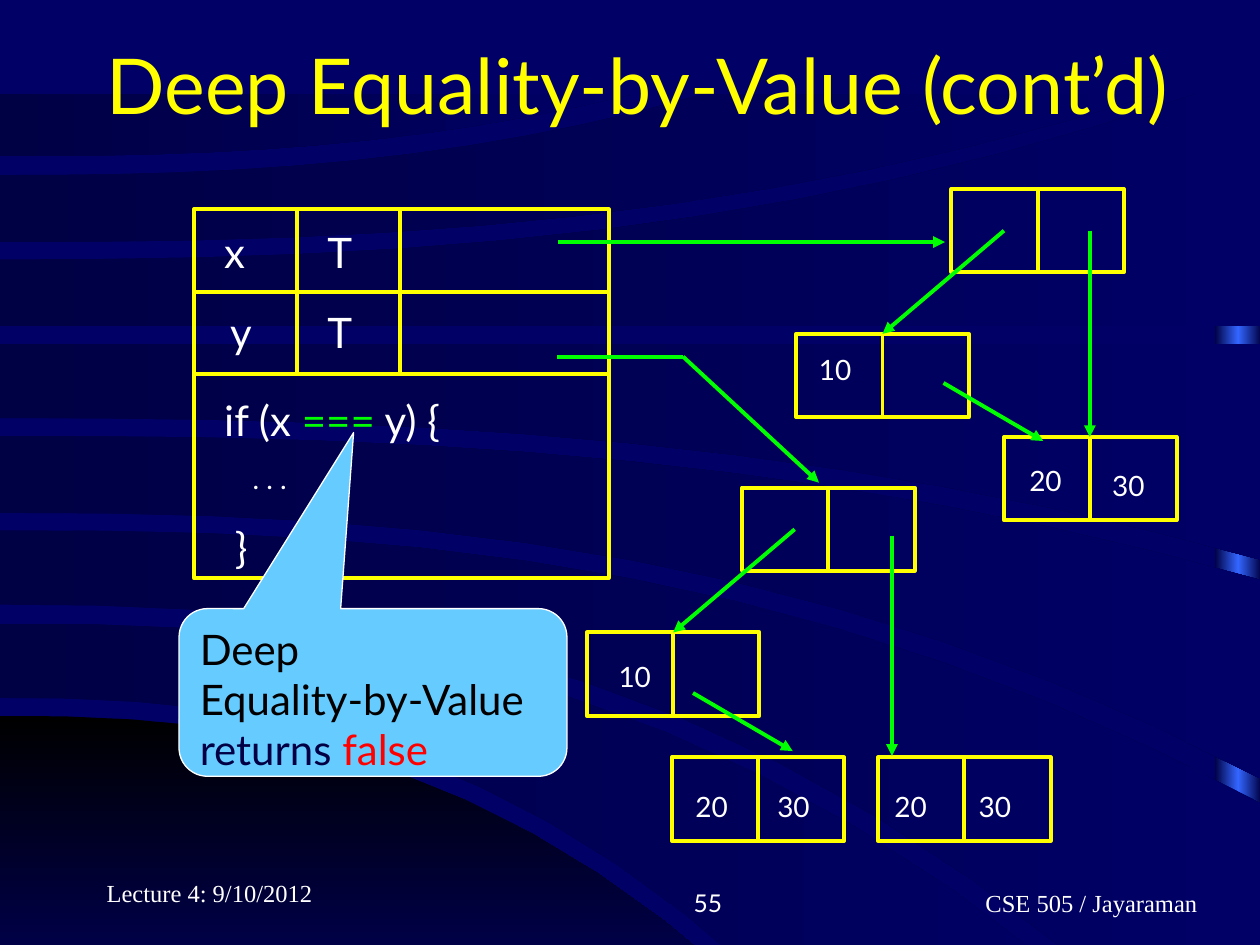
import copy

import pptx
import pptx.dml.color
import pptx.enum.shapes
import pptx.enum.text
import pptx.oxml
import pptx.oxml.ns
import pptx.util
from pptx.util import Cm

YELLOW, GREEN, WHITE = "FFFF00", "00FF00", "FFFFFF"
NAVY, DARK_NAVY = "000066", "000044"
WIDTH, HEIGHT = 25.4, 19.05
WAVE_TOP, WAVE_BOTTOM, WAVE_POWER, WAVE_STEPS = 1.9, 20.96, 2.5, 12
NODE_WIDTH, NODE_HEIGHT = 3.48, 1.68
SHAPE = pptx.enum.shapes.MSO_SHAPE
ALIGN = pptx.enum.text.PP_ALIGN
ANCHOR = pptx.enum.text.MSO_ANCHOR

# Upper and lower edge of each wave: height at the left side, rise across the slide
WAVES = [((12.57, 10.8), (14.07, 20)), ((10.69, 5.5), (12.19, 10.6)),
         ((8.79, 2.9), (10.34, 5.35)), ((6.93, 0), (8.43, 2.85)),
         ((5.23, -3.8), (6.58, 0)), ((3.53, -7), (4.88, -3.7)),
         ((WAVE_TOP, -7), (3.15, -7))]
TREE_ROOTS = [(19.18, 3.81), (14.96, 9.83)]
LEAVES = [(20.24, 8.81), (17.7, 15.27), (13.54, 15.27)]
NODE_VALUES = [("10", 16.26, 6.99), ("20", 20.5, 9.22), ("30", 22.17, 9.32),
               ("10", 12.22, 13.18), ("20", 13.77, 15.8), ("30", 15.42, 15.8),
               ("20", 17.78, 15.8), ("30", 19.48, 15.8)]
POINTERS = [(11.25, 4.88, 19.05, 4.88), (21.97, 4.65, 21.97, 8.81),
            (19.02, 7.72, 21.03, 8.89), (13.77, 7.19, 16.51, 9.73),
            (17.98, 10.8, 17.98, 15.24), (13.97, 13.97, 15.98, 15.14)]


def rgb(value):
    return pptx.dml.color.RGBColor.from_string(value)


def fill_gradient(shape, colors, angle=0):
    """Spread the colours evenly; the angle runs counter-clockwise."""
    shape.shadow.inherit = False
    shape.line.fill.background()
    shape.fill.gradient()
    shape.fill.gradient_angle = angle
    stop_list = shape._element.spPr.find(".//" + pptx.oxml.ns.qn("a:gsLst"))
    while len(stop_list) < len(colors):
        stop_list.append(copy.deepcopy(stop_list[-1]))
    for index, (stop, color) in enumerate(zip(shape.fill.gradient_stops, colors)):
        stop.color.rgb = rgb(color)
        stop.position = index / (len(colors) - 1)


def wave_edge(start, rise):
    """Points of a curve from the left side to the slide's right side or the wave limit."""
    end = 1
    if rise:
        limit = WAVE_BOTTOM if rise > 0 else WAVE_TOP
        end = min(1, ((limit - start) / rise) ** (1 / WAVE_POWER))
    shares = [end * step / WAVE_STEPS for step in range(WAVE_STEPS + 1)]
    return [(WIDTH * share, start + rise * share ** WAVE_POWER) for share in shares]


def add_wave(slide, upper, lower, colors, angle=0):
    upper_edge, lower_edge = wave_edge(*upper), wave_edge(*lower)
    shorter, longer = sorted([upper_edge[-1], lower_edge[-1]])
    corner = [(WIDTH, shorter[1])] if shorter[0] < longer[0] == WIDTH else []
    outline = [(Cm(x), Cm(y)) for x, y in upper_edge + corner + lower_edge[::-1]]
    builder = slide.shapes.build_freeform(*outline[0])
    builder.add_line_segments(outline[1:], close=True)
    fill_gradient(builder.convert_to_shape(), colors, angle)


def add_background(slide):
    slide.background.fill.solid()
    slide.background.fill.fore_color.rgb = rgb(NAVY)
    side_strip = slide.shapes.add_shape(
        SHAPE.RECTANGLE, Cm(24.49), Cm(1.96), Cm(0.94), Cm(HEIGHT))
    fill_gradient(side_strip, [DARK_NAVY, "3366FF", DARK_NAVY])
    add_wave(slide, (14.43, 20.5), (WAVE_BOTTOM, 20.5), ["000000", NAVY], 270)
    for upper, lower in WAVES:
        add_wave(slide, upper, lower, [DARK_NAVY, NAVY])


def add_line(slide, x1, y1, x2, y2, color=YELLOW, arrow=False):
    line = slide.shapes.add_connector(
        pptx.enum.shapes.MSO_CONNECTOR.STRAIGHT, Cm(x1), Cm(y1), Cm(x2), Cm(y2))
    line.line.color.rgb = rgb(color)
    line.line.width = pptx.util.Pt(2.25)
    namespace = pptx.oxml.ns.nsdecls("a")
    if arrow:
        head = pptx.oxml.parse_xml(f'<a:tailEnd {namespace} type="triangle"/>')
        line.line._get_or_add_ln().append(head)
    line._element.spPr.append(pptx.oxml.parse_xml(f"<a:effectLst {namespace}/>"))


def add_frame(slide, x, y, width, height):
    frame = slide.shapes.add_shape(SHAPE.RECTANGLE, Cm(x), Cm(y), Cm(width), Cm(height))
    frame.shadow.inherit = False
    frame.fill.background()
    frame.line.color.rgb = rgb(YELLOW)
    frame.line.width = pptx.util.Pt(2.25)


def add_node(slide, x, y):
    add_frame(slide, x, y, NODE_WIDTH, NODE_HEIGHT)
    middle = x + NODE_WIDTH / 2
    add_line(slide, middle, y, middle, y + NODE_HEIGHT)


def add_root_and_left_child(slide, x, y):
    child_x, child_y = x - 3.13, y + 2.92
    add_node(slide, x, y)
    add_node(slide, child_x, child_y)
    add_line(slide, x + 1.06, y + NODE_HEIGHT / 2, child_x + NODE_WIDTH / 2, child_y,
             GREEN, arrow=True)


def write(paragraph, runs, size, font="Lato", align=ALIGN.LEFT):
    """Fill a paragraph with (text, colour) runs."""
    paragraph.alignment = align
    paragraph.font.size = pptx.util.Pt(size)
    paragraph.font.name = font
    for text, color in runs:
        run = paragraph.add_run()
        run.text = text
        run.font.color.rgb = rgb(color)


def add_text(slide, x, y, width, height, runs, size, font="Lato",
             align=ALIGN.LEFT, anchor=ANCHOR.TOP, wrap=True):
    frame = slide.shapes.add_textbox(Cm(x), Cm(y), Cm(width), Cm(height)).text_frame
    frame.word_wrap = wrap
    frame.vertical_anchor = anchor
    write(frame.paragraphs[0], runs, size, font, align)
    return frame


def add_code(slide):
    condition = [("if (x ", WHITE), ("===", GREEN), (" y) {", WHITE)]
    code = add_text(slide, 4.27, 7.82, 6.6, 5.92, condition, 24)
    for text, size, space in [("    . . .", 16, 10), (" }", 24, 15)]:
        paragraph = code.add_paragraph()
        write(paragraph, [(text, WHITE)], size)
        paragraph.space_before = pptx.util.Pt(space)


def add_variable_table(slide):
    left, top, width, row, column = 3.91, 4.22, 8.36, 1.66, 2.08
    add_frame(slide, left, top, width, 7.44)
    for index in (1, 2):
        add_line(slide, left, top + index * row, left + width, top + index * row)
        x = left + index * column
        add_line(slide, x, top, x, top + 2 * row)
    for text, x, y in [("x", 4.27, 4.45), ("T", 6.35, 4.45), ("y", 4.39, 6.05), ("T", 6.35, 6.05)]:
        add_text(slide, x, y, 1.73, 1.27, [(text, WHITE)], 24)
    add_code(slide)


def add_callout(slide):
    callout = slide.shapes.add_shape(
        SHAPE.ROUNDED_RECTANGULAR_CALLOUT, Cm(3.61), Cm(12.27), Cm(7.82), Cm(3.38))
    for index, value in enumerate((-0.05, -1.55, 0.17)):
        callout.adjustments[index] = value
    callout.shadow.inherit = False
    callout.fill.solid()
    callout.fill.fore_color.rgb = rgb("66CCFF")
    callout.line.color.rgb = rgb(WHITE)
    callout.line.width = pptx.util.Pt(0.75)
    frame = callout.text_frame
    frame.vertical_anchor = ANCHOR.TOP
    write(frame.paragraphs[0], [("Deep", "000000")], 24)
    write(frame.add_paragraph(), [("Equality-by-Value ", "000000"), ("returns ", DARK_NAVY),
                                  ("false", "FF0000")], 24)


def add_footer(slide):
    serif, bottom = "Times New Roman", ANCHOR.BOTTOM
    add_text(slide, 1.9, 17.15, 5.28, 1.27, [("Lecture 4: 9/10/2012", WHITE)], 14,
             font=serif, anchor=bottom)
    add_text(slide, 9.53, 17.35, 5.28, 1.27, [("55", WHITE)], 14,
             align=ALIGN.RIGHT, anchor=bottom)
    course = add_text(slide, 16.71, 17.35, 8.05, 1.27, [("CSE 505 / Jayaraman", WHITE)], 14,
                      font=serif, align=ALIGN.CENTER, anchor=bottom)
    course.margin_left = Cm(2.79)


def main():
    presentation = pptx.Presentation()
    presentation.slide_width, presentation.slide_height = Cm(WIDTH), Cm(HEIGHT)
    slide = presentation.slides.add_slide(presentation.slide_layouts[6])
    add_background(slide)
    add_footer(slide)
    add_text(slide, 1.9, 0.64, 23.11, 2.13, [("Deep Equality-by-Value (cont’d)", YELLOW)], 44,
             wrap=False)
    add_variable_table(slide)
    for root in TREE_ROOTS:
        add_root_and_left_child(slide, *root)
    for leaf in LEAVES:
        add_node(slide, *leaf)
    for value, x, y in NODE_VALUES:
        add_text(slide, x, y, 1.73, 0.94, [(value, WHITE)], 16)
    add_line(slide, 11.23, 7.19, 13.77, 7.19, GREEN)
    for pointer in POINTERS:
        add_line(slide, *pointer, GREEN, arrow=True)
    add_callout(slide)
    presentation.save("out.pptx")


if __name__ == "__main__":
    main()
